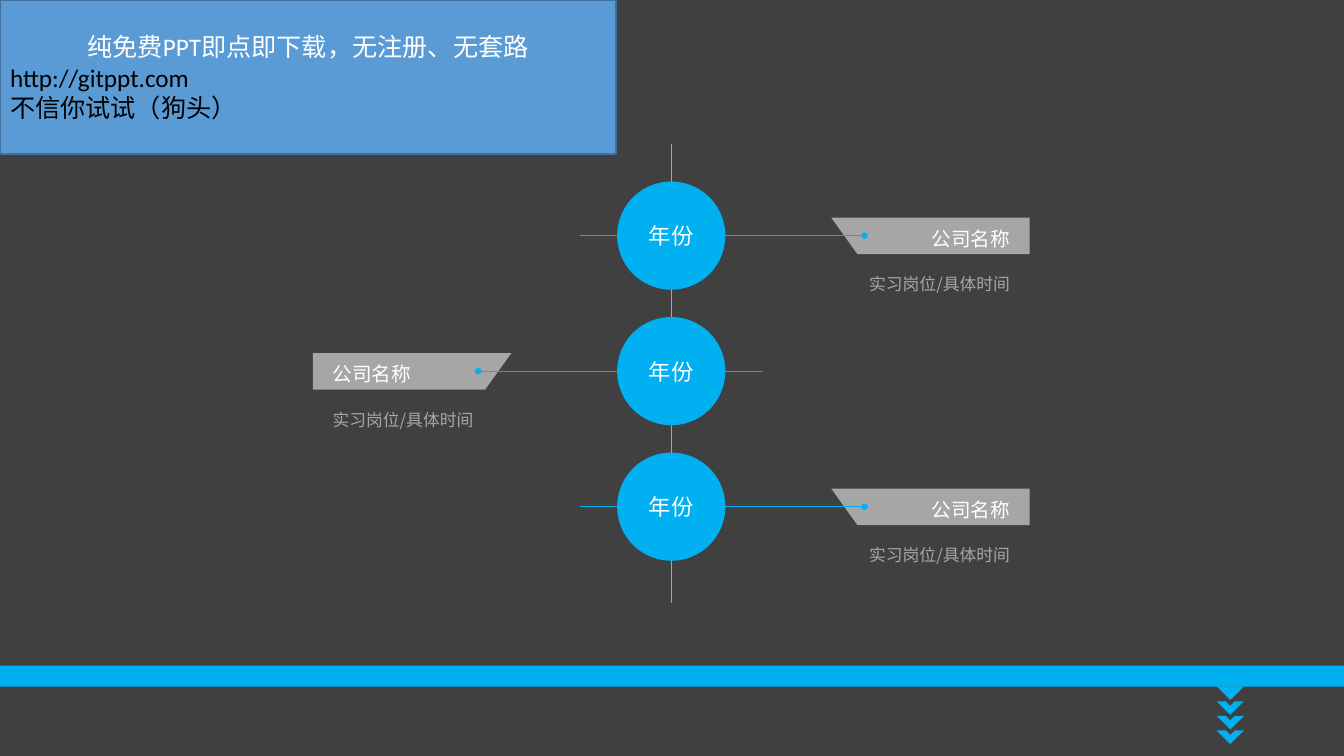
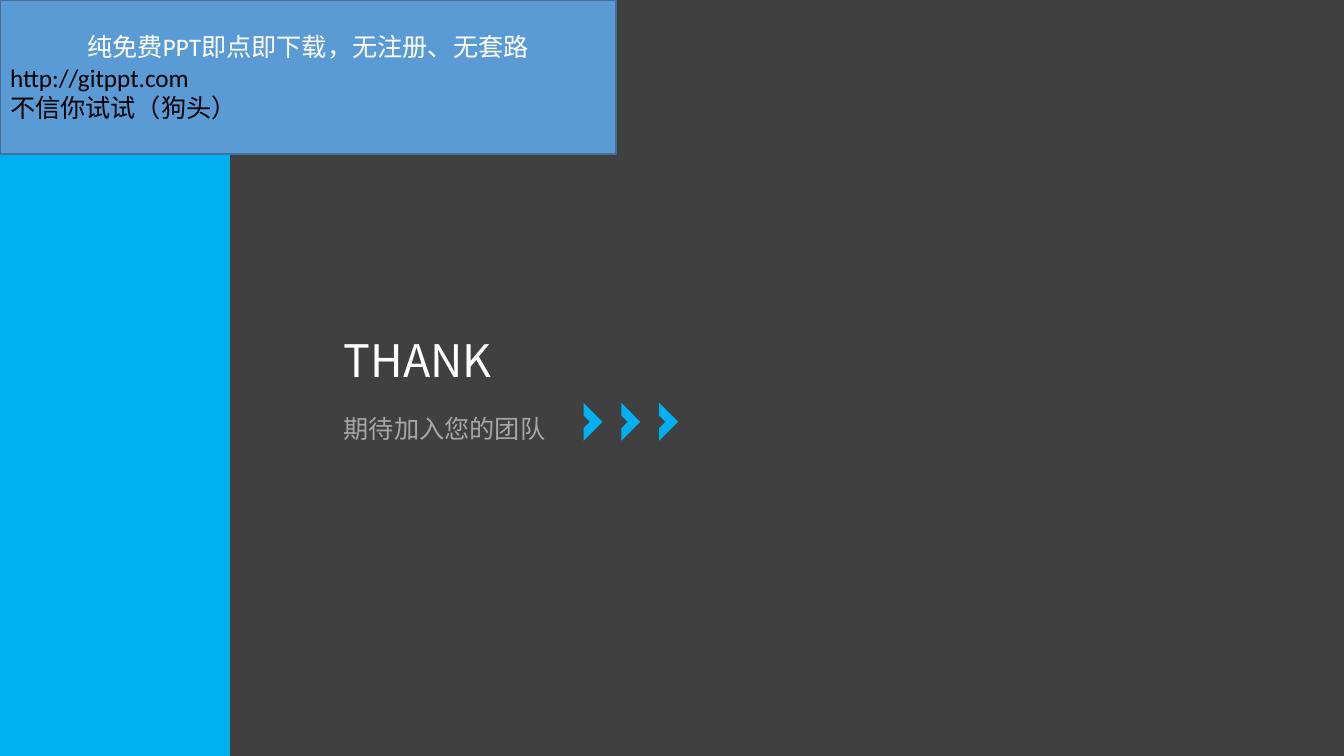
import dataclasses

import lxml.etree
import pptx
import pptx.util
from pptx.dml import color
from pptx.enum import shapes as kinds
from pptx.enum import text as texts
from pptx.oxml import ns

COLS, ROWS = 96, 54
WIDTH, HEIGHT = pptx.util.Inches(13.34), pptx.util.Inches(7.5)
LEFT, MID, RIGHT = (texts.PP_ALIGN.LEFT, texts.PP_ALIGN.CENTER,
                    texts.PP_ALIGN.RIGHT)
OVAL = kinds.MSO_SHAPE.OVAL
RECT = kinds.MSO_SHAPE.RECTANGLE


@dataclasses.dataclass(frozen=True)
class Theme:
    font: str = "Noto Sans CJK SC"
    plain: str = "Calibri"
    dark: str = "404040"
    blue: str = "00B0F0"
    grey: str = "A6A6A6"
    white: str = "FFFFFF"
    black: str = "000000"
    sky: str = "5B9BD5"
    edge: str = "41719C"
    title: int = 32
    lead: int = 18
    year: int = 16
    name: int = 14
    note: int = 12
    rule: float = 0.5


THEME = Theme()
AXIS = 47.95
FIRST, PITCH = 16.83, 9.68
INSET = 0.72


def col(n):
    return round(n * WIDTH / COLS)


def row(n):
    return round(n * HEIGHT / ROWS)


def area(x, y, w, h):
    return col(x), row(y), col(w), row(h)


def rgb(tone):
    return color.RGBColor.from_string(tone)


def put(item, **values):
    for key, value in values.items():
        setattr(item, key, value)


def paint(shape, tone):
    shape.shadow.inherit = False
    shape.fill.solid()
    shape.fill.fore_color.rgb = rgb(tone)
    shape.line.fill.background()
    return shape


def fit(frame, side, anchor=texts.MSO_ANCHOR.MIDDLE):
    """Set up a text frame; side is the left and right inset in columns."""
    put(frame, word_wrap=True, auto_size=texts.MSO_AUTO_SIZE.NONE,
        vertical_anchor=anchor, margin_left=col(side), margin_right=col(side))


def fill(para, text, size, tone, align=LEFT, font=THEME.font):
    put(para, alignment=align, space_before=pptx.util.Pt(0))
    run = para.add_run()
    run.text = text
    put(run.font, name=font, size=pptx.util.Pt(size), bold=False)
    run.font.color.rgb = rgb(tone)
    east = lxml.etree.SubElement(run._r.get_or_add_rPr(), ns.qn("a:ea"))
    east.set("typeface", THEME.font)


def write(shape, text, size, tone, align=LEFT, side=0.0,
          anchor=texts.MSO_ANCHOR.MIDDLE):
    frame = shape.text_frame
    fit(frame, side, anchor)
    fill(frame.paragraphs[0], text, size, tone, align)


def block(slide, kind, place, tone):
    return paint(slide.shapes.add_shape(kind, *area(*place)), tone)


def disc(slide, x, y, size, tone):
    """Draw a circle around the point x, y."""
    return block(slide, OVAL, (x - size / 2, y - size / 2, size, size), tone)


def outline(slide, points, tone):
    dots = [(col(x), row(y)) for x, y in points]
    pen = slide.shapes.build_freeform(*dots[0])
    pen.add_line_segments(dots[1:], close=True)
    return paint(pen.convert_to_shape(), tone)


def rule(slide, x1, y1, x2, y2, tone):
    line = slide.shapes.add_connector(
        kinds.MSO_CONNECTOR.STRAIGHT, col(x1), row(y1), col(x2), row(y2))
    line.line.color.rgb = rgb(tone)
    line.line.width = pptx.util.Pt(THEME.rule)
    lxml.etree.SubElement(line._element.spPr, ns.qn("a:effectLst"))


def arrow(slide, x, y, size, across=False):
    """Draw a chevron from the middle of its base, down or across."""
    notch = size / 3
    points = [(-size, 0), (-notch, 0), (0, notch),
              (notch, 0), (size, 0), (0, size)]
    if across:
        points = [(b, a) for a, b in points]
    outline(slide, [(x + a, y + b) for a, b in points], THEME.blue)


def banner(slide):
    box = block(slide, RECT, (0, 0, 44, 11), THEME.sky)
    box.line.color.rgb = rgb(THEME.edge)
    box.line.width = pptx.util.Pt(1)
    frame = box.text_frame
    fit(frame, INSET)
    lines = (
        ("纯免费PPT即点即下载，无注册、无套路", THEME.white, MID),
        ("http://gitppt.com", THEME.black, LEFT),
        ("不信你试试（狗头）", THEME.black, LEFT),
    )
    for step, (text, tone, align) in enumerate(lines):
        para = frame.add_paragraph() if step else frame.paragraphs[0]
        fill(para, text, THEME.lead, tone, align, THEME.plain)


def stage(slide, y, side, year, name, note):
    """Draw one stop on the time line; side is 1 for right, -1 for left."""
    def away(n):
        return AXIS + side * n

    align = RIGHT if side > 0 else LEFT
    top, base = y - 1.28, y + 1.32
    band = outline(slide, [(away(25.6), top), (away(11.43), top),
                           (away(13.3), base), (away(25.6), base)],
                   THEME.grey)
    write(band, name, THEME.name, THEME.white, align, 1.4)
    put(band.text_frame, margin_top=row(0.36), margin_bottom=0)
    disc(slide, away(13.8), y, 0.45, THEME.blue)
    rule(slide, away(-6.55), y, away(13.8), y, THEME.blue)
    ball = disc(slide, AXIS, y, 7.73, THEME.blue)
    write(ball, year, THEME.year, THEME.white, MID)
    wide = 16
    start = min(away(24.2), away(24.2 - wide))
    label = slide.shapes.add_textbox(*area(start, y + 1.96, wide, 3))
    write(label, note, THEME.note, THEME.grey, align)


def history(deck):
    slide = deck.slides.add_slide(deck.slide_layouts[6])
    rule(slide, AXIS, 10.3, AXIS, 43.05, THEME.grey)
    for step, side in enumerate((1, -1, 1)):
        stage(slide, FIRST + step * PITCH, side,
              "年份", "公司名称", "实习岗位/具体时间")
    block(slide, RECT, (0, 47.54, COLS, 1.52), THEME.blue)
    mark, size = 87.88, 0.97
    outline(slide, [(mark - size, 49.03), (mark + size, 49.03),
                    (mark, 49.03 + size)], THEME.blue)
    for step in range(3):
        arrow(slide, mark, 50.1 + step * 1.04, size)
    banner(slide)


def thanks(deck):
    slide = deck.slides.add_slide(deck.slide_layouts[0])
    block(slide, RECT, (0, 0, 16.42, ROWS), THEME.blue)
    title, lead = slide.placeholders
    lines = (
        (title, (23.83, 23.4, 41.4, 5.6), "THANK", THEME.title, THEME.white),
        (lead, (23.83, 29.16, 17, 3.6), "期待加入您的团队",
         THEME.lead, THEME.grey),
    )
    for holder, place, text, size, tone in lines:
        put(holder, **dict(zip(("left", "top", "width", "height"),
                               area(*place))))
        write(holder, text, size, tone, side=INSET,
              anchor=texts.MSO_ANCHOR.TOP)
    for step in range(3):
        arrow(slide, 41.69 + step * 2.7, 30.13, 1.35, across=True)
    banner(slide)


def main():
    deck = pptx.Presentation()
    put(deck, slide_width=WIDTH, slide_height=HEIGHT)
    back = deck.slide_master.background.fill
    back.solid()
    back.fore_color.rgb = rgb(THEME.dark)
    history(deck)
    thanks(deck)
    deck.save("out.pptx")


if __name__ == "__main__":
    main()
